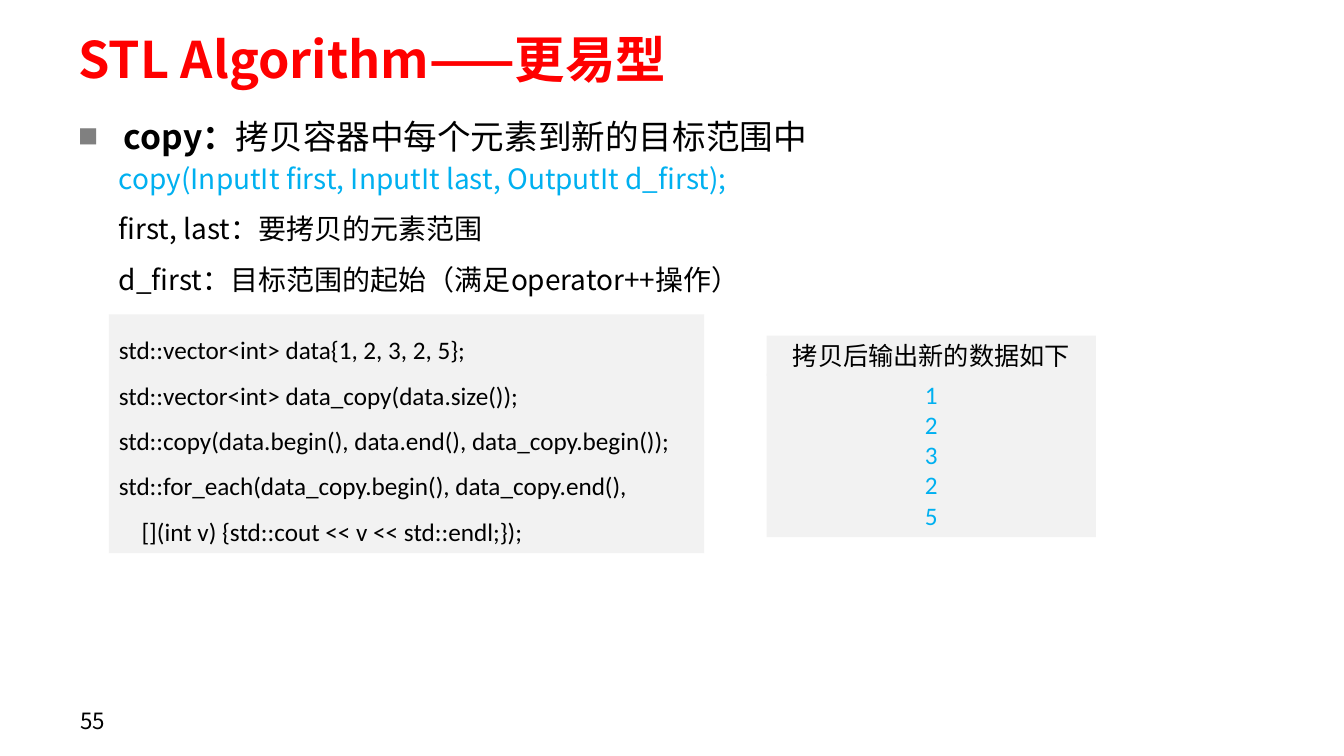
"""Build the slide on the STL copy algorithm."""
from dataclasses import dataclass
from typing import Any

from lxml.etree import SubElement
from pptx import Presentation
from pptx.dml.color import RGBColor as RGB
from pptx.enum.shapes import MSO_SHAPE as Shape
from pptx.enum.text import MSO_ANCHOR as Anchor, MSO_AUTO_SIZE as AutoSize, PP_ALIGN as Align
from pptx.oxml.ns import qn
from pptx.util import Pt

COLORS = {"red": "FF0000", "black": "000000", "blue": "00B0F0", "panel": "F2F2F2", "bullet": "808080"}
SANS = "Noto Sans CJK SC"
CODE = "Calibri"
WIDE = (9.4, 5)
NARROW = (7.2, 3.6)


@dataclass(frozen=True)
class Run:
    """A stretch of text in one weight."""
    text: str
    bold: bool = False


@dataclass(frozen=True)
class Line:
    """A paragraph with its look."""
    runs: tuple[Run, ...]
    size: float
    color: str = "black"
    font: str = SANS
    spacing: float = 1.0
    align: Align = Align.LEFT
    bullet: str = ""


@dataclass(frozen=True)
class Block:
    """A text area, on a panel when filled."""
    left: float
    top: float
    width: float
    height: float
    lines: tuple[Line, ...]
    insets: tuple[float, float] = NARROW
    anchor: Anchor = Anchor.TOP
    fill: str = ""


def line(text: str, size: float, **look: Any) -> Line:
    """Return a line of a single regular run."""
    return Line((Run(text),), size, **look)


TITLE = Block(46.8, 20.2, 873.4, 42.5, (Line((Run("STL Algorithm——更易型", True),), 36, "red"),),
              WIDE, Anchor.MIDDLE)

CODE_LINES = (
    "std::vector<int> data{1, 2, 3, 2, 5};",
    "std::vector<int> data_copy(data.size());",
    "std::copy(data.begin(), data.end(), data_copy.begin());",
    "std::for_each(data_copy.begin(), data_copy.end(),",
    "    [](int v) {std::cout << v << std::endl;});",
)

BLOCKS = (
    Block(46.8, 66.2, 873.4, 47.5,
          (Line((Run("copy：", True), Run("拷贝容器中每个元素到新的目标范围中")), 24, spacing=1.4, bullet="■"),),
          WIDE),
    Block(48.2, 500.4, 223.9, 28.8, (line("55", 16),), WIDE, Anchor.MIDDLE),
    Block(77.8, 224.6, 425.5, 170.6,
          tuple(line(t, 18, font=CODE, spacing=1.5) for t in CODE_LINES), fill="panel"),
    Block(77.8, 111.6, 725.8, 104.4, (
        line("copy(InputIt first, InputIt last, OutputIt d_first);", 20, color="blue"),
        line("first, last：要拷贝的元素范围", 20, spacing=1.5),
        line("d_first：目标范围的起始（满足operator++操作）", 20, spacing=1.5),
    )),
    Block(547.9, 267.1, 235.4, 116.6,
          tuple(line(t, 18, color="blue", font=CODE, align=Align.CENTER) for t in "12325"), fill="panel"),
    Block(547.9, 239.8, 235.4, 28.8,
          (line("拷贝后输出新的数据如下", 18, align=Align.CENTER),), fill="panel"),
)


def add_bullet(p: Any, mark: str) -> None:
    """Give a paragraph a hanging bullet."""
    pPr = p._p.get_or_add_pPr()
    pPr.set("marL", str(Pt(32.4)))
    pPr.set("indent", str(-Pt(32.4)))
    color = SubElement(pPr, qn("a:buClr"))
    SubElement(color, qn("a:srgbClr"), val=COLORS["bullet"])
    SubElement(pPr, qn("a:buSzPct"), val="60000")
    SubElement(pPr, qn("a:buFont"), typeface=SANS)
    SubElement(pPr, qn("a:buChar"), char=mark)


def write_line(p: Any, item: Line) -> None:
    """Write the runs of a line into a paragraph."""
    p.alignment = item.align
    p.line_spacing = item.spacing
    if item.bullet:
        add_bullet(p, item.bullet)
    for run in item.runs:
        r = p.add_run()
        r.text = run.text
        r.font.size = Pt(item.size)
        r.font.bold = run.bold
        r.font.color.rgb = RGB.from_string(COLORS[item.color])
        r.font.name = item.font
        SubElement(r._r.get_or_add_rPr(), qn("a:ea"), typeface=SANS)


def fill_text(sp: Any, block: Block) -> None:
    """Set the frame of a shape and write its lines."""
    tf = sp.text_frame
    tf.word_wrap = True
    tf.auto_size = AutoSize.NONE
    tf.vertical_anchor = block.anchor
    tf.margin_left = tf.margin_right = Pt(block.insets[0])
    tf.margin_top = tf.margin_bottom = Pt(block.insets[1])
    for i, item in enumerate(block.lines):
        write_line(tf.add_paragraph() if i else tf.paragraphs[0], item)


def add_block(s: Any, block: Block) -> None:
    """Draw a text box or a filled panel."""
    box = tuple(Pt(v) for v in (block.left, block.top, block.width, block.height))
    if block.fill:
        sp = s.shapes.add_shape(Shape.RECTANGLE, *box)
        sp.shadow.inherit = False
        sp.fill.solid()
        sp.fill.fore_color.rgb = RGB.from_string(COLORS[block.fill])
        sp.line.fill.background()
    else:
        sp = s.shapes.add_textbox(*box)
    fill_text(sp, block)


def main() -> None:
    """Build and save the slide."""
    prs = Presentation()
    prs.slide_width, prs.slide_height = Pt(960.48), Pt(540)
    s = prs.slides.add_slide(prs.slide_layouts[5])
    title = s.shapes.title
    title.left, title.top = Pt(TITLE.left), Pt(TITLE.top)
    title.width, title.height = Pt(TITLE.width), Pt(TITLE.height)
    fill_text(title, TITLE)
    for block in BLOCKS:
        add_block(s, block)
    prs.save("out.pptx")


if __name__ == "__main__":
    main()
